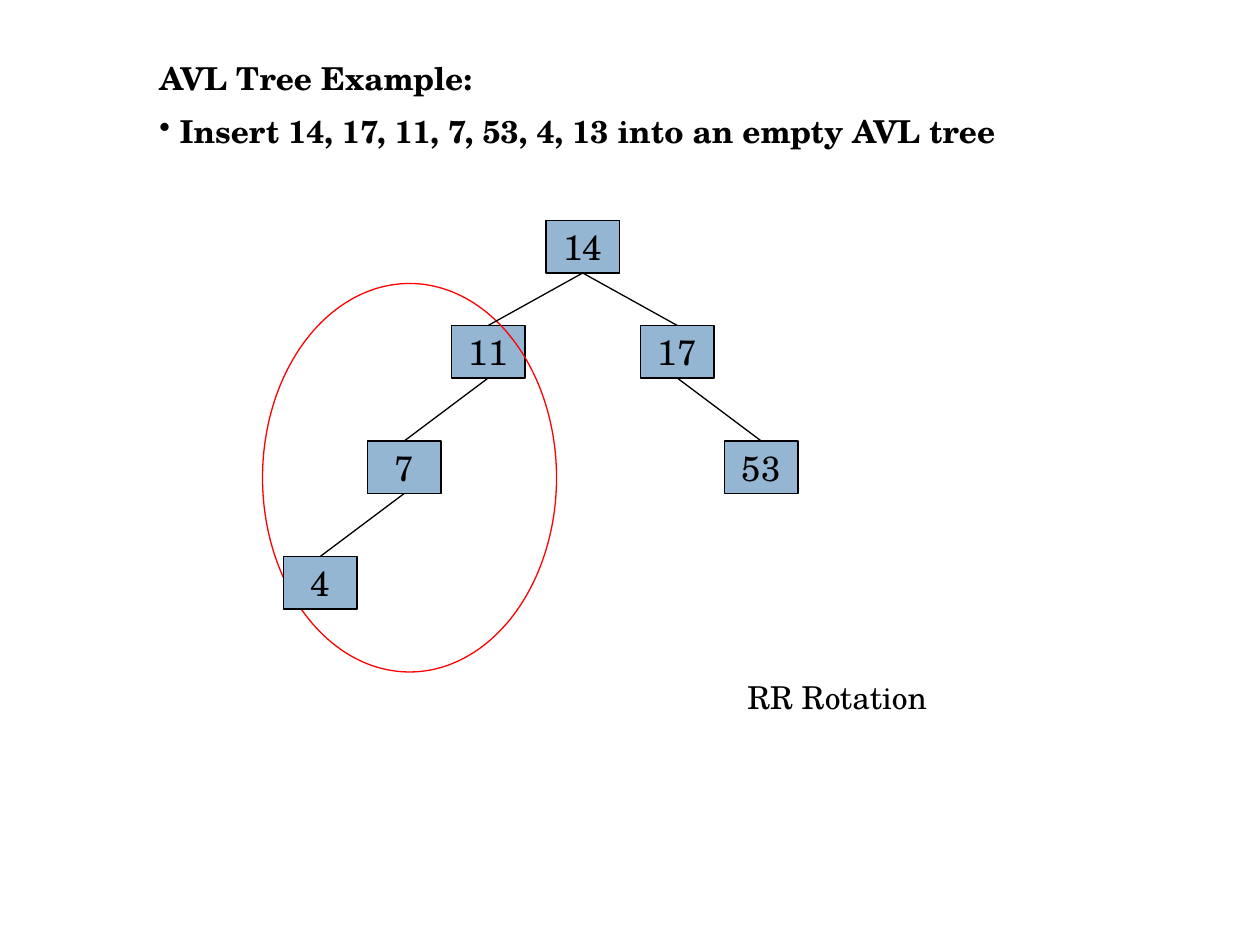
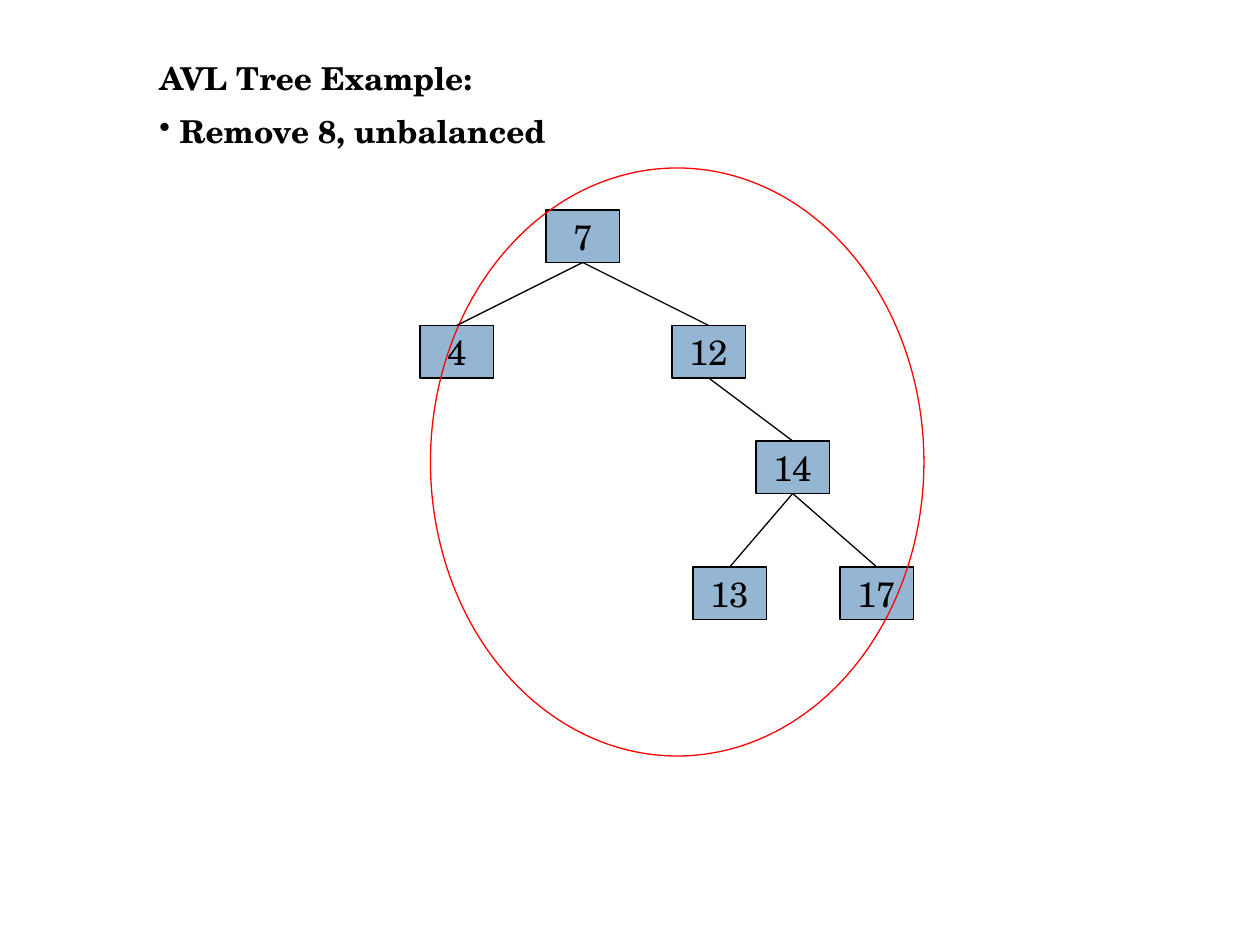
from dataclasses import dataclass
from lxml.etree import SubElement
from pptx import Presentation
from pptx.dml.color import RGBColor as Rgb
from pptx.enum.shapes import MSO_CONNECTOR as Conn, MSO_SHAPE as Form
from pptx.enum.text import MSO_ANCHOR as Anchor, PP_ALIGN as Align
from pptx.oxml.ns import qn
from pptx.util import Pt

PX = 7620  # 120 px to the inch
NODE_W, NODE_H = 70, 50


@dataclass(frozen=True)
class Theme:
    font: str = "TeX Gyre Schola"
    ink: Rgb = Rgb(0, 0, 0)
    node: Rgb = Rgb(0x94, 0xB6, 0xD2)
    ring: Rgb = Rgb(0xFF, 0, 0)
    body: Pt = Pt(18)
    key: Pt = Pt(20)
    line: Pt = Pt(0.75)


look = Theme()

# Each tree: nodes by key (left, top), links from parent to child,
# and the keys drawn in front of the ring
trees = [
    dict(
        task="Insert 14, 17, 11, 7, 53, 4, 13 into an empty AVL tree",
        width=940,
        nodes={14: (520, 210), 17: (610, 310), 11: (430, 310),
               7: (350, 420), 53: (690, 420), 4: (270, 530)},
        links=[(14, 11), (14, 17), (11, 7), (17, 53), (7, 4)],
        ring=(250, 270, 280, 370),
        front=[4],
        note="RR Rotation",
    ),
    dict(
        task="Remove 8, unbalanced",
        width=1010,
        nodes={14: (720, 420), 17: (800, 540), 4: (400, 310),
               7: (520, 200), 12: (640, 310), 13: (660, 540)},
        links=[(7, 4), (7, 12), (12, 14), (14, 13), (14, 17)],
        ring=(410, 160, 470, 560),
        front=[],
        note="",
    ),
]


def add_run(para, text, size, bold=False):
    run = para.add_run()
    run.text = text
    font = run.font
    font.name, font.size, font.bold = look.font, size, bold
    font.color.rgb = look.ink


def add_form(slide, kind, box, color):
    form = slide.shapes.add_shape(kind, *(n * PX for n in box))
    form.shadow.inherit = False
    form.line.color.rgb = color
    form.line.width = look.line
    return form


deck = Presentation()
deck.slide_width, deck.slide_height = 1200 * PX, 900 * PX

for tree in trees:
    slide = deck.slides.add_slide(deck.slide_layouts[6])
    shapes = slide.shapes

    # Heading and task
    head = shapes.add_textbox(140 * PX, 50 * PX, tree["width"] * PX, 102 * PX)
    frame = head.text_frame
    frame.word_wrap = True
    add_run(frame.paragraphs[0], "AVL Tree Example:", look.body, True)
    para = frame.add_paragraph()
    para.space_before = Pt(9)
    props = para._p.get_or_add_pPr()
    props.set("marL", "0")
    props.set("indent", str(-15 * PX))
    tint = SubElement(props, qn("a:buClr"))
    SubElement(tint, qn("a:srgbClr")).set("val", str(look.ink))
    SubElement(props, qn("a:buChar")).set("char", "•")
    add_run(para, " " + tree["task"], look.body, True)

    # Nodes, with the ring between the back and front ones
    order = [key for key in tree["nodes"] if key not in tree["front"]]
    boxes = {}
    for key in order + ["ring"] + tree["front"]:
        if key == "ring":
            ring = add_form(slide, Form.OVAL, tree["ring"], look.ring)
            ring.fill.background()
            continue
        spot = (*tree["nodes"][key], NODE_W, NODE_H)
        box = add_form(slide, Form.RECTANGLE, spot, look.ink)
        box.fill.solid()
        box.fill.fore_color.rgb = look.node
        box.text_frame.vertical_anchor = Anchor.MIDDLE
        para = box.text_frame.paragraphs[0]
        para.alignment = Align.CENTER
        add_run(para, str(key), look.key)
        boxes[key] = box

    # Links from bottom centre of parent to top centre of child
    for top, low in tree["links"]:
        link = shapes.add_connector(Conn.STRAIGHT, 0, 0, 0, 0)
        link.begin_connect(boxes[top], 2)
        link.end_connect(boxes[low], 0)
        link.line.color.rgb = look.ink
        link.line.width = look.line
        SubElement(link._element.spPr, qn("a:effectLst"))

    # Note on the rotation
    if tree["note"]:
        note = shapes.add_textbox(700 * PX, 640 * PX, 380 * PX, 48 * PX)
        note.text_frame.word_wrap = True
        add_run(note.text_frame.paragraphs[0], tree["note"], look.body)

deck.save("out.pptx")
